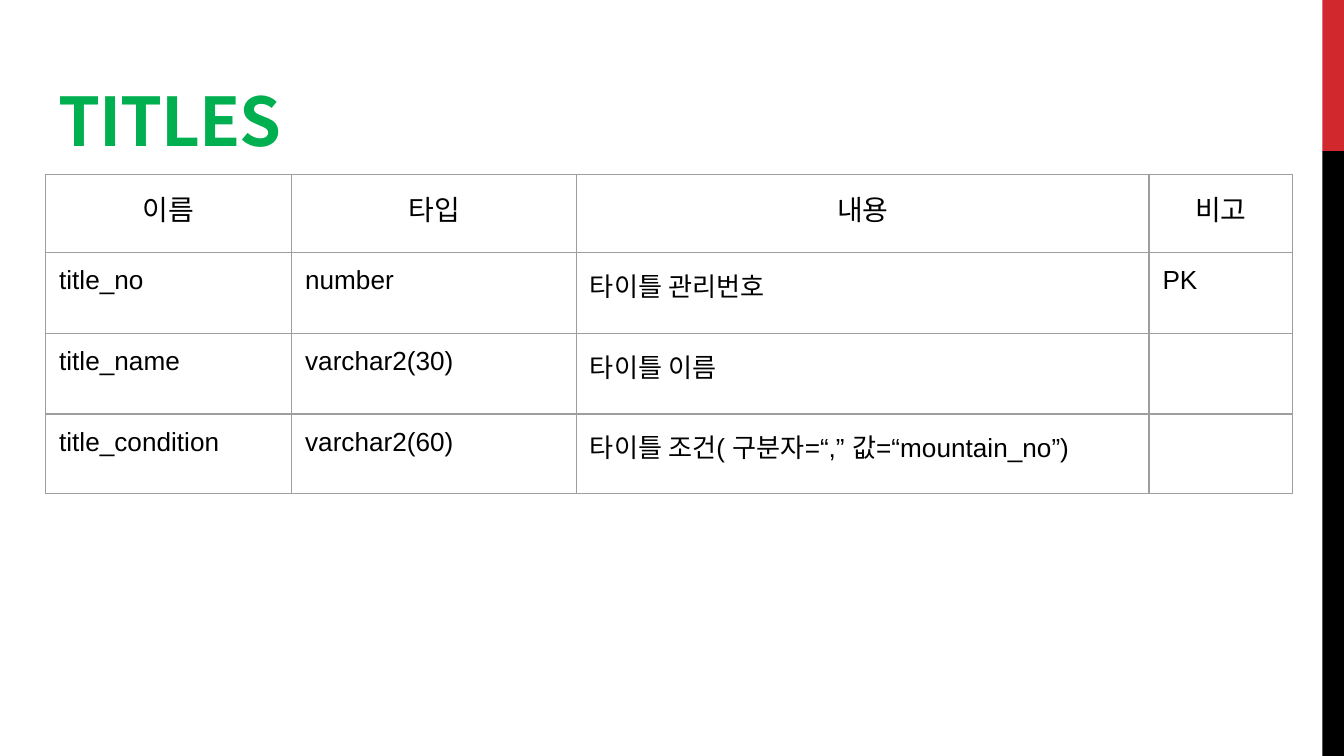
import pptx
import pptx.util
import pptx.dml.color
import pptx.enum.shapes
import pptx.enum.text
import pptx.oxml.ns
from lxml import etree
from pptx.util import Inches

THEME = {
    "red": "D1282E", "black": "000000", "green": "00B050", "grid": "9E9E9E",
    "title_size": 36, "head_size": 15, "body_size": 14,
    "title_font": "Noto Sans CJK KR", "body_font": "Arial", "line": 0.75,
}
CENTER = pptx.enum.text.PP_ALIGN.CENTER
LEFT = pptx.enum.text.PP_ALIGN.LEFT
qn = pptx.oxml.ns.qn


def put_text(tf, text, size, font=THEME["body_font"], color=THEME["black"],
             bold=False, align=LEFT, spacing=None):
    p = tf.paragraphs[0]
    p.alignment = align
    r = p.add_run()
    r.text = text
    r.font.size = pptx.util.Pt(size)
    r.font.name = font
    r.font.bold = bold
    r.font.color.rgb = pptx.dml.color.RGBColor.from_string(color)
    if spacing is not None:
        r.font._element.set("spc", str(round(spacing * 100)))


def set_borders(cell, color, width):
    tc_pr = cell._tc.get_or_add_tcPr()
    for i, side in enumerate(("lnL", "lnR", "lnT", "lnB")):
        ln = etree.Element(qn(f"a:{side}"), w=str(pptx.util.Pt(width)))
        fill = etree.SubElement(ln, qn("a:solidFill"))
        etree.SubElement(fill, qn("a:srgbClr"), val=color)
        tc_pr.insert(i, ln)


# 16:9 slide
prs = pptx.Presentation()
prs.slide_width = Inches(10)
prs.slide_height = Inches(10 * 9 / 16)
s = prs.slides.add_slide(prs.slide_layouts[6])

# Side bars, split at one fifth of the height
split = prs.slide_height // 5
bar_left = Inches(9.84)
for top, bottom, color in ((0, split, "red"), (split, prs.slide_height, "black")):
    sp = s.shapes.add_shape(pptx.enum.shapes.MSO_SHAPE.RECTANGLE, bar_left, top,
                            prs.slide_width - bar_left, bottom - top)
    sp.shadow.inherit = False
    sp.fill.solid()
    sp.fill.fore_color.rgb = pptx.dml.color.RGBColor.from_string(THEME[color])
    sp.line.fill.background()

# Title
tf = s.shapes.add_textbox(Inches(0.34), Inches(0.49), Inches(9.32), Inches(0.63)).text_frame
tf.word_wrap = True
tf.vertical_anchor = pptx.enum.text.MSO_ANCHOR.TOP
tf.margin_left = tf.margin_right = tf.margin_top = tf.margin_bottom = Inches(0.1)
put_text(tf, "TITLES", THEME["title_size"], font=THEME["title_font"],
         color=THEME["green"], bold=True, spacing=-0.6)

# Column definitions table
rows = [
    ("이름", "타입", "내용", "비고"),
    ("title_no", "number", "타이틀 관리번호", "PK"),
    ("title_name", "varchar2(30)", "타이틀 이름", ""),
    ("title_condition", "varchar2(60)", "타이틀 조건( 구분자=“,” 값=“mountain_no”)", ""),
]
col_widths = (1.83, 2.12, 4.26, 1.07)
row_heights = (0.58, 0.6, 0.6, 0.59)
table = s.shapes.add_table(len(rows), len(col_widths), Inches(0.34), Inches(1.3),
                           Inches(sum(col_widths)), Inches(sum(row_heights))).table
table.first_row = table.horz_banding = False
for col, width in zip(table.columns, col_widths):
    col.width = Inches(width)
for i, (texts, height) in enumerate(zip(rows, row_heights)):
    table.rows[i].height = Inches(height)
    for j, text in enumerate(texts):
        cell = table.cell(i, j)
        cell.fill.background()
        cell.margin_left = cell.margin_right = Inches(0.1)
        cell.margin_top = cell.margin_bottom = Inches(0.1)
        set_borders(cell, THEME["grid"], THEME["line"])
        if text:
            put_text(cell.text_frame, text,
                     THEME["body_size"] if i else THEME["head_size"],
                     align=LEFT if i else CENTER)

prs.save("out.pptx")
